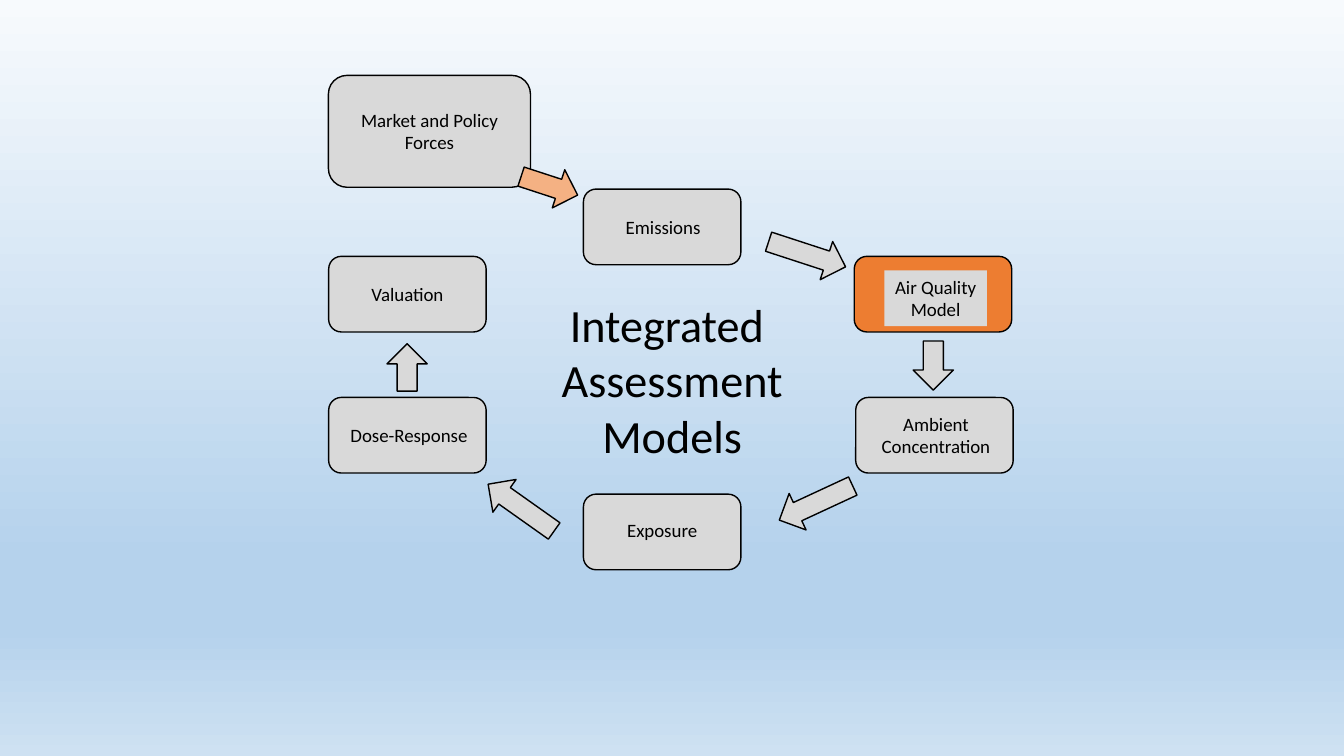
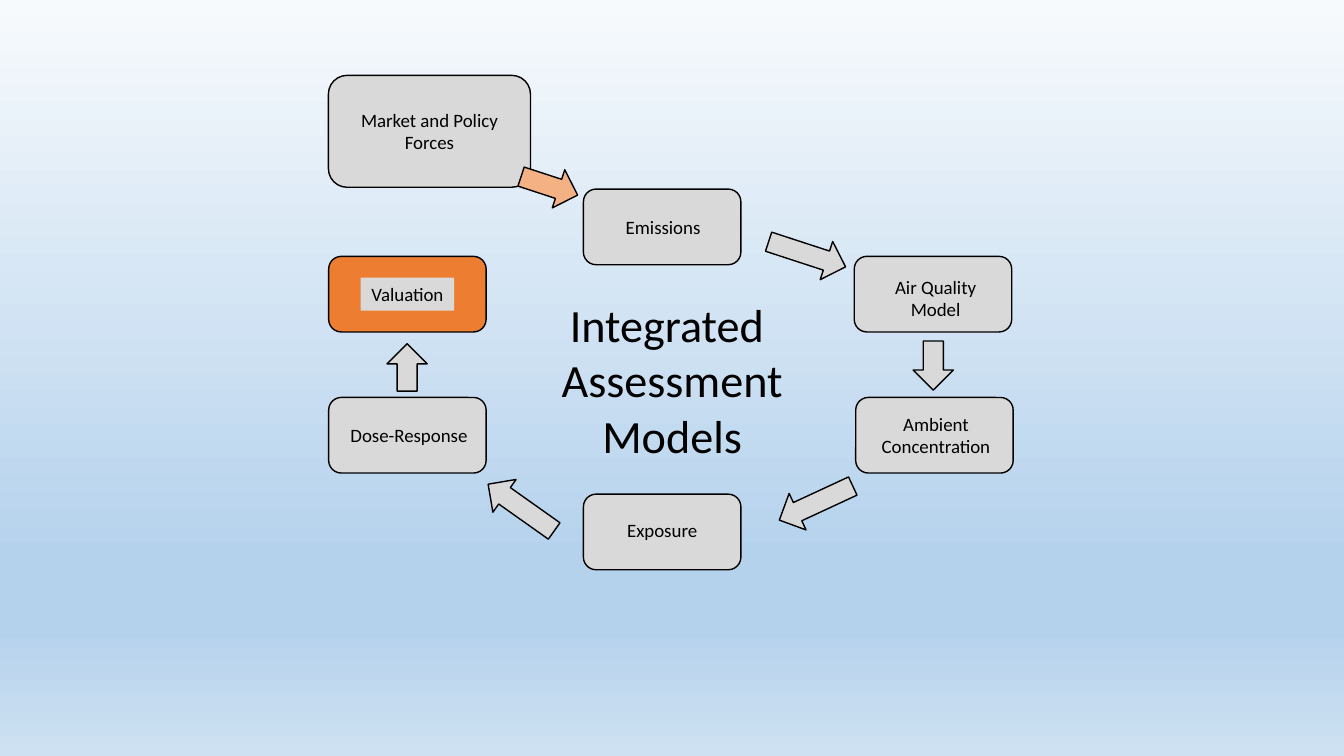
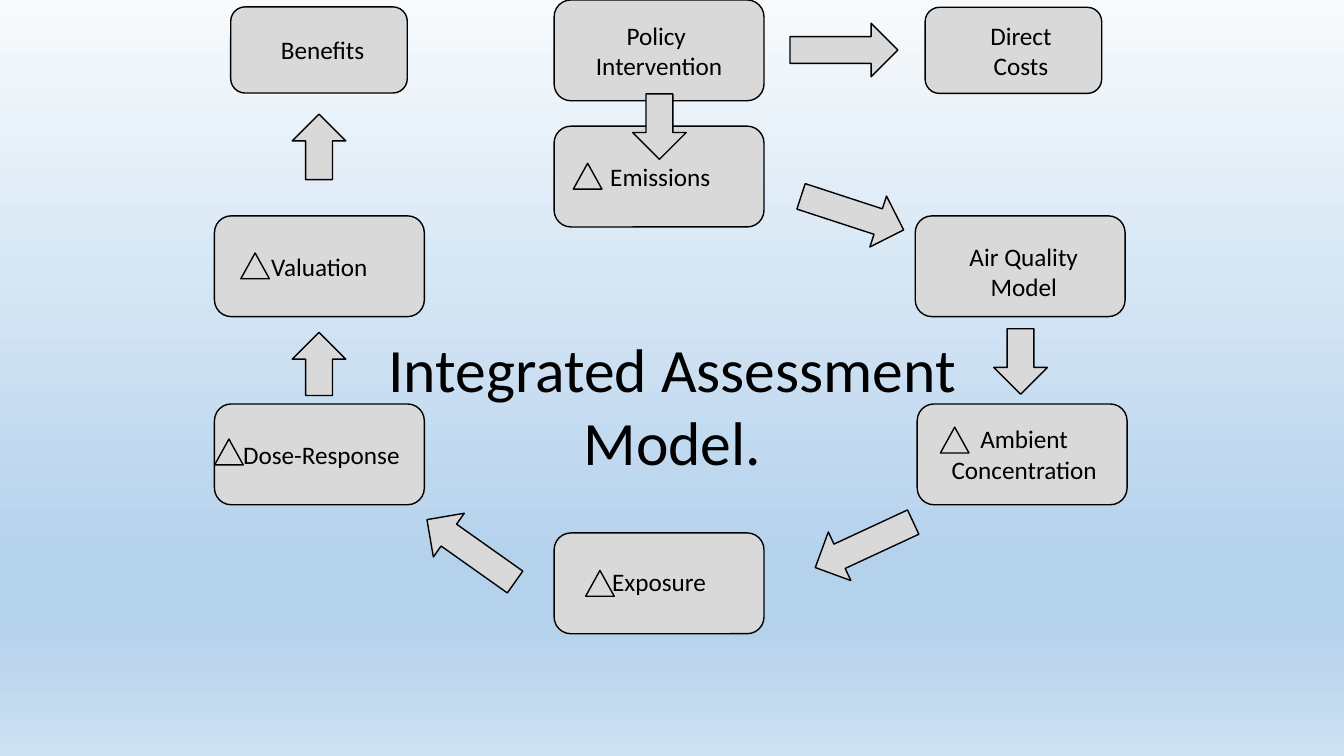
from copy import deepcopy
from dataclasses import dataclass
from typing import Any

from pptx import Presentation
from pptx.dml.color import RGBColor
from pptx.enum.shapes import MSO_SHAPE
from pptx.enum.text import MSO_ANCHOR, MSO_AUTO_SIZE, PP_ALIGN
from pptx.oxml.ns import qn
from pptx.util import Cm, Pt

FONT = "Calibri"
BLACK = RGBColor(0x00, 0x00, 0x00)
GREY = RGBColor(0xD9, 0xD9, 0xD9)
ORANGE = RGBColor(0xED, 0x7D, 0x31)
PEACH = RGBColor(0xF4, 0xB1, 0x83)
SKY = (
    (0, RGBColor(0xF7, 0xFA, 0xFD)),
    (0.74, RGBColor(0xB5, 0xD2, 0xEC)),
    (0.83, RGBColor(0xB5, 0xD2, 0xEC)),
    (1, RGBColor(0xCE, 0xE1, 0xF2)),
)

# All lengths below are centimetres at full diagram scale.
STAGE_SIZE = (5.29, 2.54)
OUTCOME_SIZE = (4.45, 2.17)
MARKET_SIZE = (6.79, 3.76)
TRIANGLE_SIZE = (0.72, 0.65)
ARROW_WIDTH = 1.35
TITLE_LEFT, TITLE_WIDTH, TITLE_HEIGHT = 6.15, 21.59, 4.09
LABEL_SIZE, TITLE_SIZE = 18, 44
LINE_HEIGHT = 0.77
LABEL_INSETS = (0.51, 0.25)

# Text, box centre, box size, text width, shift of the label from the centre
CYCLE_NODES = [
    ("Emissions", (16.61, 4.45), STAGE_SIZE, 2.54, (0.03, 0)),
    ("Air Quality\nModel", (25.71, 6.71), STAGE_SIZE, 2.77, (0.09, 0.14)),
    ("Ambient\nConcentration", (25.76, 11.45), STAGE_SIZE, 3.71, (0.05, 0)),
    ("Exposure", (16.61, 14.7), STAGE_SIZE, 2.39, (0, -0.05)),
    ("Dose-Response", (8.05, 11.45), STAGE_SIZE, 3.99, (0.05, 0)),
    ("Valuation", (8.05, 6.71), STAGE_SIZE, 2.46, (0, 0)),
]
MARKET_NODES = [
    ("Market and Policy\nForces", (8.79, 1.24), MARKET_SIZE, 4.67, (0, 0)),
]
POLICY_NODES = [
    ("Policy \nIntervention", (16.61, 1.27), STAGE_SIZE, 3.23, (0, 0)),
    ("Direct\nCosts", (25.54, 1.27), OUTCOME_SIZE, 1.57, (0.19, 0)),
    ("Benefits", (8.04, 1.26), OUTCOME_SIZE, 2.13, (0.09, 0)),
]

# Centre, length, clockwise turn of a down arrow, fill
CYCLE_ARROWS = [
    ((21.48, 5.37), 2.72, 288.1, GREY),
    ((25.72, 9.11), 1.65, 0, GREY),
    ((21.78, 13.73), 2.72, 65.1, GREY),
    ((11.87, 13.88), 2.72, 125.3, GREY),
    ((8.04, 9.17), 1.59, 180, GREY),
]
MARKET_ARROWS = [((12.82, 3.07), 2, 288.1, PEACH)]
POLICY_ARROWS = [
    ((21.27, 1.26), 2.72, 270, GREY),
    ((16.62, 3.19), 1.65, 0, GREY),
    ((8.04, 3.7), 1.65, 180, GREY),
]
CHANGE_MARKS = [
    (14.81, 4.44), (6.43, 6.7), (5.77, 11.39), (15.12, 14.7), (24.06, 11.09),
]

MARKET_DIAGRAM = dict(
    title="Integrated \nAssessment\nModels", title_top=6.61,
    scale=0.75, origin=(4.23, 2.38),
    nodes=MARKET_NODES, arrows=MARKET_ARROWS, marks=[],
)
SLIDES = [
    dict(MARKET_DIAGRAM, highlight="Air Quality\nModel"),
    dict(MARKET_DIAGRAM, highlight="Valuation"),
    dict(
        title="Integrated Assessment\nModel.", title_top=8.2,
        scale=1, origin=(0, 0), highlight=None,
        nodes=POLICY_NODES, arrows=POLICY_ARROWS, marks=CHANGE_MARKS,
    ),
]


def write_text(shape, text, *, size, anchor=MSO_ANCHOR.TOP, wrap=True,
               auto_size=MSO_AUTO_SIZE.NONE):
    frame = shape.text_frame
    frame.text = text
    frame.word_wrap = wrap
    frame.auto_size = auto_size
    frame.vertical_anchor = anchor
    for paragraph in frame.paragraphs:
        paragraph.alignment = PP_ALIGN.CENTER
        paragraph.font.name = FONT
        paragraph.font.size = Pt(size)
        paragraph.font.color.rgb = BLACK


def paint_background(master):
    fill = master.background.fill
    fill.gradient()
    fill.gradient_angle = 270
    stop_list = master.element.find(".//" + qn("a:gsLst"))
    while len(stop_list) < len(SKY):
        stop_list.append(deepcopy(stop_list[0]))
    for stop, (position, color) in zip(fill.gradient_stops, SKY):
        stop.position = position
        stop.color.rgb = color


@dataclass
class Diagram:
    """Draws on a slide, scaling full-size centimetres about an origin."""
    slide: Any
    scale: float
    origin: tuple

    def point(self, position):
        return [start + self.scale * value
                for start, value in zip(self.origin, position)]

    def add_title(self, text, top):
        title = self.slide.shapes.title
        title.left, title.top = map(Cm, self.point((TITLE_LEFT, top)))
        title.width = Cm(TITLE_WIDTH * self.scale)
        title.height = Cm(TITLE_HEIGHT * self.scale)
        write_text(title, text, size=TITLE_SIZE * self.scale)

    def add_outline(self, preset, center, size, fill=None, rotation=0):
        x, y = self.point(center)
        width, height = (value * self.scale for value in size)
        shape = self.slide.shapes.add_shape(
            preset, Cm(x - width / 2), Cm(y - height / 2), Cm(width), Cm(height))
        shape.shadow.inherit = False
        shape.rotation = rotation
        shape.line.color.rgb = BLACK
        shape.line.width = Pt(1)
        if fill is None:
            shape.fill.background()
        else:
            shape.fill.solid()
            shape.fill.fore_color.rgb = fill

    def add_label(self, text, center, text_width):
        """Add a grey label whose insets stay the same at every scale."""
        x, y = self.point(center)
        text_height = LINE_HEIGHT * len(text.split("\n"))
        width, height = (
            value * self.scale + inset
            for value, inset in zip((text_width, text_height), LABEL_INSETS))
        label = self.slide.shapes.add_textbox(
            Cm(x - width / 2), Cm(y - height / 2), Cm(width), Cm(height))
        label.fill.solid()
        label.fill.fore_color.rgb = GREY
        write_text(label, text, size=LABEL_SIZE * self.scale, wrap=False,
                   auto_size=MSO_AUTO_SIZE.SHAPE_TO_FIT_TEXT)

    def add_node(self, text, center, size, text_width, shift, fill):
        self.add_outline(MSO_SHAPE.ROUNDED_RECTANGLE, center, size, fill)
        label_center = [value + step for value, step in zip(center, shift)]
        self.add_label(text, label_center, text_width)


def build_slide(presentation, content):
    slide = presentation.slides.add_slide(
        presentation.slide_layouts.get_by_name("Title Only"))
    diagram = Diagram(slide, content["scale"], content["origin"])
    diagram.add_title(content["title"], content["title_top"])
    for node in CYCLE_NODES + content["nodes"]:
        fill = ORANGE if node[0] == content["highlight"] else GREY
        diagram.add_node(*node, fill)
    for center, length, rotation, fill in CYCLE_ARROWS + content["arrows"]:
        diagram.add_outline(MSO_SHAPE.DOWN_ARROW, center,
                            (ARROW_WIDTH, length), fill, rotation)
    for center in content["marks"]:
        diagram.add_outline(MSO_SHAPE.ISOSCELES_TRIANGLE, center, TRIANGLE_SIZE)


def main():
    presentation = Presentation()
    presentation.slide_width = Cm(33.87)
    presentation.slide_height = Cm(19.05)
    paint_background(presentation.slide_master)
    for content in SLIDES:
        build_slide(presentation, content)
    presentation.save("out.pptx")


if __name__ == "__main__":
    main()
